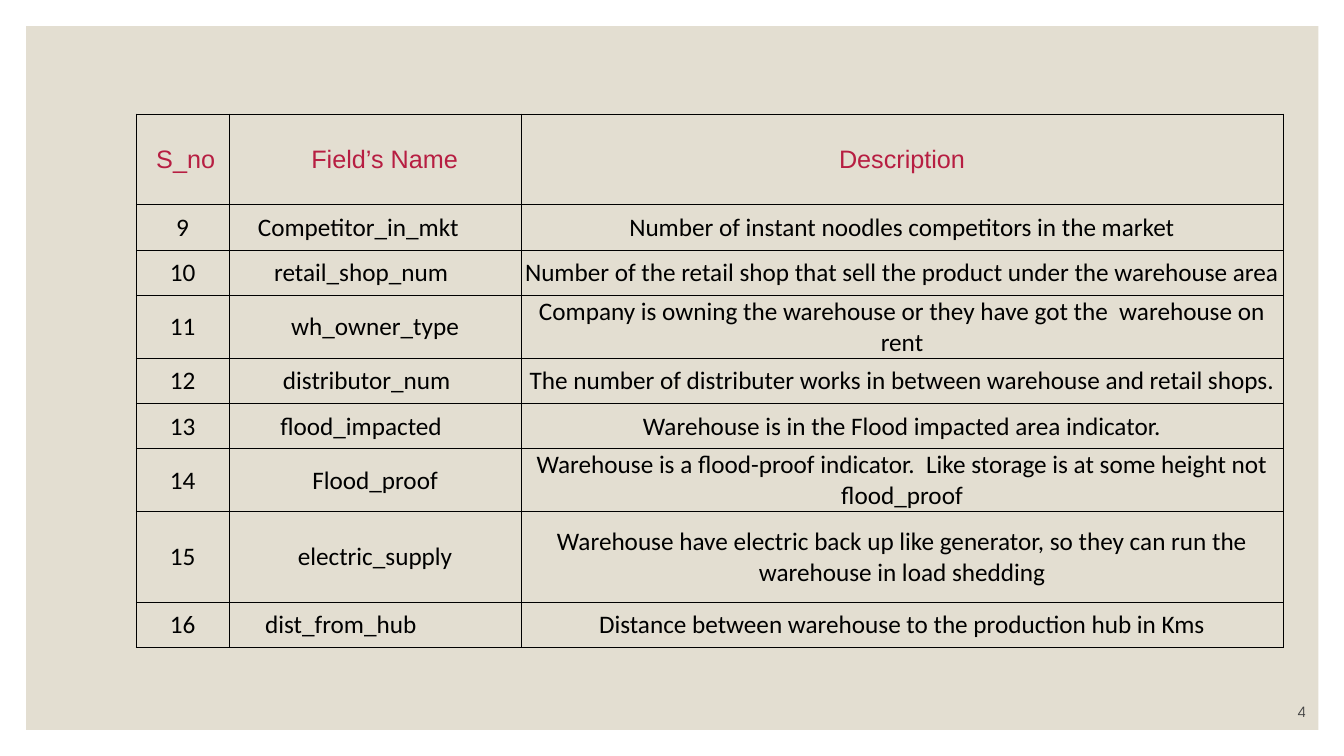
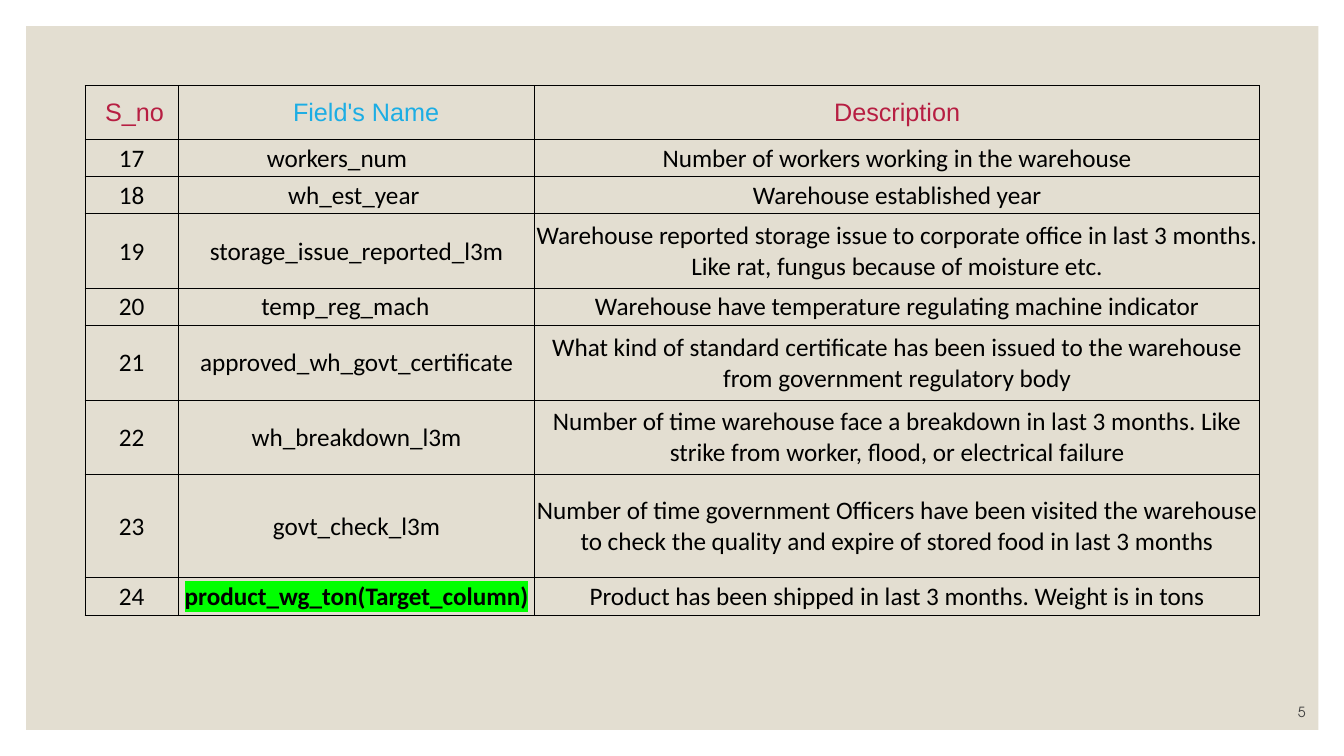
from lxml import etree
from pptx import Presentation
from pptx.dml.color import RGBColor
from pptx.enum.shapes import MSO_SHAPE
from pptx.enum.text import MSO_ANCHOR, PP_ALIGN
from pptx.oxml.ns import qn
from pptx.util import Pt

RECTANGLE = MSO_SHAPE.RECTANGLE
MIDDLE, BOTTOM = MSO_ANCHOR.MIDDLE, MSO_ANCHOR.BOTTOM
LEFT, CENTER, RIGHT = PP_ALIGN.LEFT, PP_ALIGN.CENTER, PP_ALIGN.RIGHT
BLANK_LAYOUT = 6

COLORS = {
    "panel": "E3DED1",
    "heading": "B71E42",
    "accent": "1CADE4",
    "body": "000000",
    "border": "000000",
    "number": "404040",
    "highlight": "00FF00",
}
HEADER_FONT = {"name": "Arial", "size": Pt(18), "bold": False}
BODY_FONT = {"name": "Calibri", "size": Pt(18), "bold": False}
NUMBER_FONT = {"name": "TeX Gyre Adventor", "size": Pt(10)}
CELL_FORMAT = {
    "vertical_anchor": MIDDLE,
    "margin_left": Pt(0.72),
    "margin_right": Pt(0.72),
    "margin_top": Pt(0.72),
    "margin_bottom": Pt(0),
}
TABLE_FLAGS = {"first_row": False, "horz_banding": False}
HEADER_INDENT = 14.4
TARGET = "product_wg_ton(Target_column)"

TABLES = [
    {
        "number": 4,
        "position": (97.2, 81.4),
        "widths": (66.5, 208.5, 544.3),
        "heights": (64.8, 32.4, 32.4, 44.7, 32.4, 32.4, 44.7, 64.8, 32.4),
        "field_heading": ("Field’s Name", "heading"),
        "first": 9,
        "rows": [
            ("Competitor_in_mkt", 24, "Number of instant noodles competitors in the market"),
            ("retail_shop_num", 20, "Number of the retail shop that sell the product under the warehouse area"),
            ("wh_owner_type", 0, "Company is owning the warehouse or they have got the  warehouse on rent"),
            ("distributor_num", 12, "The number of distributer works in between warehouse and retail shops."),
            ("flood_impacted", 20, "Warehouse is in the Flood impacted area indicator."),
            ("Flood_proof", 0, "Warehouse is a flood-proof indicator.  Like storage is at some height not flood_proof"),
            ("electric_supply", 0, "Warehouse have electric back up like generator, so they can run the warehouse in load shedding"),
            ("dist_from_hub", 49, "Distance between warehouse to the production hub in Kms"),
        ],
    },
    {
        "number": 5,
        "position": (60.7, 61),
        "widths": (66.7, 254.6, 517.7),
        "heights": (38.5, 26.6, 26.6, 53.2, 26.6, 53.2, 53.2, 73.8, 26.6),
        "field_heading": ("Field's Name", "accent"),
        "first": 17,
        "rows": [
            ("workers_num", 28, "Number of workers working in the warehouse"),
            ("wh_est_year", 4, "Warehouse established year"),
            ("storage_issue_reported_l3m", 0, "Warehouse reported storage issue to corporate office in last 3 months. Like rat, fungus because of moisture etc."),
            ("temp_reg_mach", 16, "Warehouse have temperature regulating machine indicator"),
            ("approved_wh_govt_certificate", 0, "What kind of standard certificate has been issued to the warehouse from government regulatory body"),
            ("wh_breakdown_l3m", 0, "Number of time warehouse face a breakdown in last 3 months. Like strike from worker, flood, or electrical failure"),
            ("govt_check_l3m", 0, "Number of time government Officers have been visited the warehouse to check the quality and expire of stored food in last 3 months"),
            (TARGET, 0, "Product has been shipped in last 3 months. Weight is in tons"),
        ],
    },
]


def write_text(paragraph, text, alignment, font_format, color):
    paragraph.alignment = alignment
    run = paragraph.add_run()
    run.text = text
    for attribute, value in font_format.items():
        setattr(run.font, attribute, value)
    run.font.color.rgb = RGBColor.from_string(COLORS[color])
    return run


def format_cell(cell):
    for attribute, value in CELL_FORMAT.items():
        setattr(cell, attribute, value)
    cell.fill.background()
    properties = cell._tc.get_or_add_tcPr()
    for index, side in enumerate(("lnL", "lnR", "lnT", "lnB")):
        line = etree.Element(qn("a:" + side), w=str(Pt(0.5)))
        fill = etree.SubElement(line, qn("a:solidFill"))
        etree.SubElement(fill, qn("a:srgbClr"), val=COLORS["border"])
        properties.insert(index, line)


presentation = Presentation()
presentation.slide_width = Pt(960)
presentation.slide_height = Pt(540)
layout = presentation.slide_layouts[BLANK_LAYOUT]
slides = [presentation.slides.add_slide(layout) for _ in TABLES]

panel = slides[0].shapes.add_shape(RECTANGLE, Pt(18.7), Pt(18.7), Pt(923), Pt(502.6))
panel.shadow.inherit = False
panel.fill.solid()
panel.fill.fore_color.rgb = RGBColor.from_string(COLORS["panel"])
panel.line.fill.background()
panel.element.nvSpPr.cNvPr.set("id", "20")
layout.shapes.element.insert(2, panel.element)

for slide, content in zip(slides, TABLES):
    number_box = slide.shapes.add_textbox(Pt(824.4), Pt(496.8), Pt(115.2), Pt(21.6))
    number_box.text_frame.word_wrap = True
    number_box.text_frame.vertical_anchor = BOTTOM
    write_text(number_box.text_frame.paragraphs[0], str(content["number"]), RIGHT, NUMBER_FONT, "number")

    left, top = content["position"]
    widths, heights = content["widths"], content["heights"]
    table = slide.shapes.add_table(
        len(heights), len(widths), Pt(left), Pt(top), Pt(sum(widths)), Pt(sum(heights))
    ).table
    for attribute, value in TABLE_FLAGS.items():
        setattr(table, attribute, value)
    for column, width in zip(table.columns, widths):
        column.width = Pt(width)
    for row, height in zip(table.rows, heights):
        row.height = Pt(height)
    for cell in table.iter_cells():
        format_cell(cell)

    headings = [
        ("S_no", "heading", LEFT, HEADER_INDENT),
        (*content["field_heading"], CENTER, HEADER_INDENT),
        ("Description", "heading", CENTER, 0.72),
    ]
    for cell, (text, color, alignment, indent) in zip(table.rows[0].cells, headings):
        cell.margin_left = Pt(indent)
        write_text(cell.text_frame.paragraphs[0], text, alignment, HEADER_FONT, color)

    for index, (field, right_indent, description) in enumerate(content["rows"]):
        cells = table.rows[index + 1].cells
        cells[1].margin_right = Pt(0.72 + right_indent)
        for cell, text in zip(cells, (str(content["first"] + index), field, description)):
            run = write_text(cell.text_frame.paragraphs[0], text, CENTER, BODY_FONT, "body")
            if text == TARGET:
                run.font.bold = True
                highlight = etree.Element(qn("a:highlight"))
                etree.SubElement(highlight, qn("a:srgbClr"), val=COLORS["highlight"])
                run.font._element.find(qn("a:solidFill")).addnext(highlight)

presentation.save("out.pptx")
